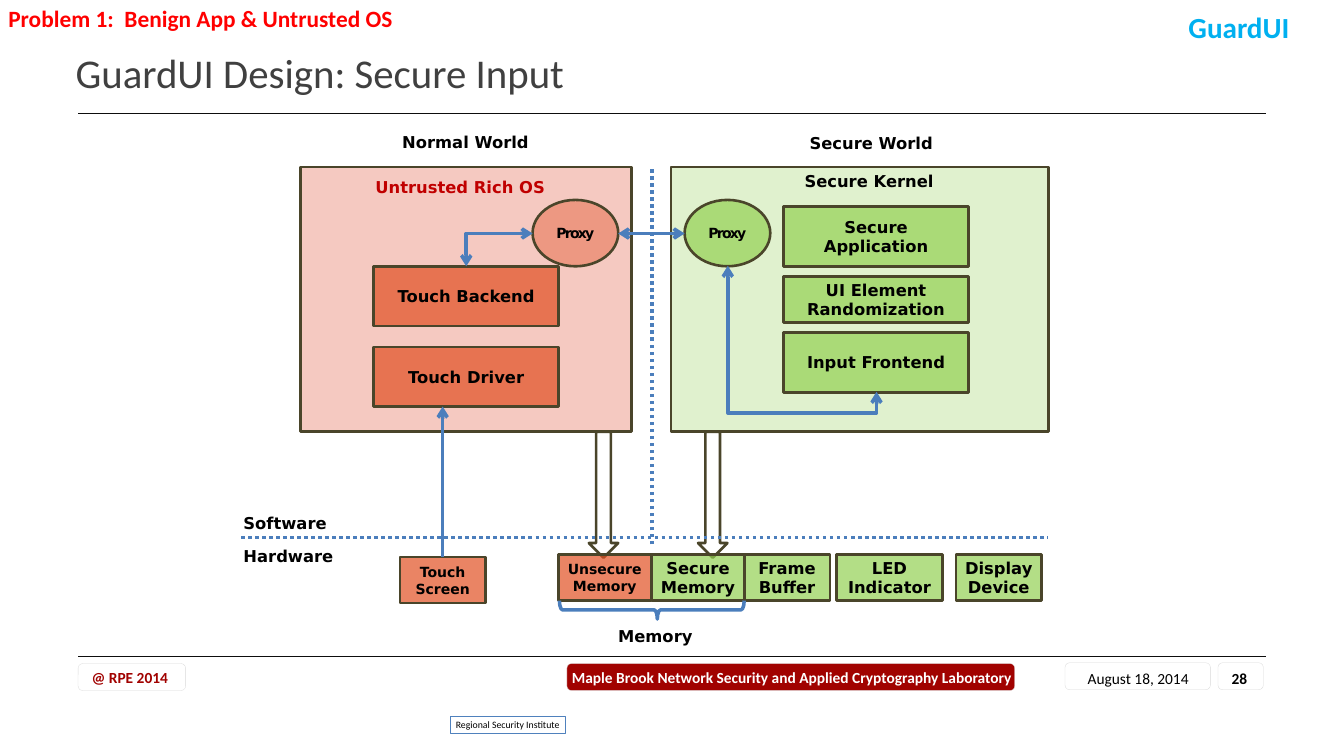
from dataclasses import dataclass

from lxml import etree
from pptx import Presentation
from pptx.dml.color import RGBColor
from pptx.enum import dml, shapes, text
from pptx.oxml.ns import qn
from pptx.util import Inches, Pt


@dataclass(frozen=True)
class Theme:
    body_font: str = "Calibri"
    diagram_font: str = "DejaVu Sans"
    black: str = "000000"
    white: str = "FFFFFF"
    title: str = "404040"
    alert: str = "FF0000"
    brand: str = "00B0F0"
    crimson: str = "A10200"
    untrusted: str = "C00000"
    rule: str = "0D0D0D"
    pill: str = "D9D9D9"
    badge: str = "4F81BD"
    outline: str = "4A452A"
    arrow: str = "4B7EBC"
    normal_world: str = "DD3E23"
    normal: str = "E14D1F"
    secure: str = "92D050"
    title_size: float = 35
    brand_size: float = 25
    problem_size: float = 20
    label_size: float = 14
    small_size: float = 12
    footer_size: float = 13.2
    badge_size: float = 8.4


THEME = Theme()
KIND = shapes.MSO_SHAPE
LINK = shapes.MSO_CONNECTOR

TITLE = "GuardUI Design: Secure Input"
RULES = [1.35, 7.82]
PILLS = [
    (12.68, 7.89, 1.73, None),
    (14.5, 7.89, 0.54, None),
    (6.75, 7.9, 5.33, THEME.crimson),
    (0.93, 7.9, 1.28, None),
]
FOOTERS = [
    ("28 ", (14.44, 7.88, 0.67, 0.38), THEME.black, True, "c"),
    ("August 18, 2014", (12.62, 7.88, 1.86, 0.38), THEME.black, False, "c"),
    ("Maple Brook Network Security and Applied Cryptography Laboratory",
     (6.33, 7.87, 6.19, 0.38), THEME.white, True, "c"),
    ("@ RPE 2014", (0.93, 7.87, 1.28, 0.38), THEME.crimson, True, "l"),
]
BADGE = ("Regional Security Institute", (5.36, 8.52, 1.37, 0.21))
HEADERS = [
    ("Problem 1:  Benign App & Untrusted OS", (0, 0, 6.25, 0.44), THEME.problem_size, THEME.alert),
    ("GuardUI", (14.05, 0.06, 1.92, 0.52), THEME.brand_size, THEME.brand),
]
MEMORY_ARROWS = [8.31, 7.01]
WORLDS = [(3.58, 3.94, THEME.normal_world), (7.99, 4.49, THEME.secure)]
SOFTWARE = [
    ("Touch Driver", 4.45, 4.13, 0.71, THEME.normal),
    ("Touch Backend", 4.45, 3.17, 0.71, THEME.normal),
    ("Input Frontend", 9.33, 3.96, 0.71, THEME.secure),
    ("UI Element Randomization", 9.33, 3.29, 0.55, THEME.secure),
    ("Secure Application", 9.33, 2.46, 0.71, THEME.secure),
]
PROXIES = [(6.34, THEME.normal, 39), (8.15, THEME.secure, 69)]
HARDWARE = [
    ("Display Device", 11.38, 6.6, 1.02, THEME.secure, THEME.label_size),
    ("LED Indicator", 9.96, 6.6, 1.26, THEME.secure, THEME.label_size),
    ("Frame Buffer", 8.86, 6.6, 1.02, THEME.secure, THEME.label_size),
    ("Unsecure Memory", 6.65, 6.6, 1.1, THEME.normal, THEME.small_size),
    ("Secure Memory", 7.76, 6.6, 1.1, THEME.secure, THEME.label_size),
    ("Touch Screen", 4.76, 6.63, 1.02, THEME.normal, THEME.small_size),
]
LABELS = [
    ("Untrusted Rich OS", 4.37, 2.06, 2.22, THEME.untrusted),
    ("Secure Kernel", 9.48, 1.99, 1.74, THEME.black),
    ("Hardware", 2.8, 6.45, 1.29, THEME.black),
    ("Software", 2.8, 6.06, 1.2, THEME.black),
    ("Normal World", 4.69, 1.52, 1.73, THEME.black),
    ("Secure World", 9.54, 1.54, 1.68, THEME.black),
    ("Memory", 7.26, 7.4, 1.09, THEME.black),
]
DIVIDERS = [((2.87, 6.4), (12.48, 6.4)), ((7.76, 6.48), (7.76, 2))]


def write(shape, words, size=THEME.label_size, color=THEME.black, font=THEME.diagram_font,
          bold=True, align="c", anchor=text.MSO_ANCHOR.MIDDLE, wrap=True, insets=None, spacing=None):
    frame = shape.text_frame
    frame.word_wrap = wrap
    frame.vertical_anchor = anchor
    if insets:
        frame.margin_left = frame.margin_right = Inches(insets[0])
        frame.margin_top = frame.margin_bottom = Inches(insets[1])
    paragraph = frame.paragraphs[0]
    paragraph.alignment = text.PP_ALIGN.CENTER if align == "c" else text.PP_ALIGN.LEFT
    run = paragraph.add_run()
    run.text = words
    run.font.name, run.font.size, run.font.bold = font, Pt(size), bold
    run.font.color.rgb = RGBColor.from_string(color)
    if spacing is not None:
        run._r.get_or_add_rPr().set("spc", str(round(spacing * 100)))


def add_text(slide, words, box, **style):
    shape = slide.shapes.add_textbox(*map(Inches, box))
    write(shape, words, anchor=text.MSO_ANCHOR.TOP, **style)
    shape.text_frame.auto_size = text.MSO_AUTO_SIZE.SHAPE_TO_FIT_TEXT


def add_block(slide, kind, box, fill=None, alpha=None, line=THEME.outline, width=2.25):
    shape = slide.shapes.add_shape(kind, *map(Inches, box))
    shape.shadow.inherit = False
    if fill:
        shape.fill.solid()
        shape.fill.fore_color.rgb = RGBColor.from_string(fill)
    else:
        shape.fill.background()
    if alpha is not None:
        color = shape._element.spPr.find(qn("a:solidFill")).find(qn("a:srgbClr"))
        etree.SubElement(color, qn("a:alpha")).set("val", str(alpha * 1000))
    shape.line.color.rgb = RGBColor.from_string(line)
    shape.line.width = Pt(width)
    return shape


def add_line(slide, start, end, kind=LINK.STRAIGHT, color=THEME.arrow, width=3, dash=None, arrows=()):
    connector = slide.shapes.add_connector(kind, *map(Inches, (*start, *end)))
    connector.line.color.rgb = RGBColor.from_string(color)
    connector.line.width = Pt(width)
    if dash:
        connector.line.dash_style = dash
    properties = connector._element.spPr
    for arrow in arrows:
        etree.SubElement(properties.find(qn("a:ln")), qn(f"a:{arrow}")).set("type", "arrow")
    etree.SubElement(properties, qn("a:effectLst"))
    return connector


def bend(connector, preset, degrees, adjustment=None):
    properties = connector._element.spPr
    properties.find(qn("a:xfrm")).set("rot", str(degrees * 60000))
    geometry = properties.find(qn("a:prstGeom"))
    geometry.set("prst", preset)
    if adjustment is not None:
        guides = geometry.find(qn("a:avLst"))
        if guides is None:
            guides = etree.SubElement(geometry, qn("a:avLst"))
        guide = etree.SubElement(guides, qn("a:gd"))
        guide.set("name", "adj1")
        guide.set("fmla", f"val {round(adjustment * 100000)}")


def add_frame(slide):
    for y in RULES:
        add_line(slide, (0.93, y), (15.07, y), color=THEME.rule, width=0.75)
    for x, y, width, fill in PILLS:
        add_block(slide, KIND.ROUNDED_RECTANGLE, (x, y, width, 0.32), fill, line=THEME.pill, width=0.25)
    for words, box, color, bold, align in FOOTERS:
        add_text(slide, words, box, size=THEME.footer_size, color=color, font=THEME.body_font,
                 bold=bold, align=align, insets=(0.16, 0.08))
    words, box = BADGE
    badge = add_block(slide, KIND.RECTANGLE, box, THEME.white, line=THEME.badge, width=0.25)
    write(badge, words, size=THEME.badge_size, font=THEME.body_font, bold=False, insets=(0.04, 0.04))
    title = slide.shapes.title
    title.left, title.top, title.width, title.height = map(Inches, (0.8, 0.24, 14.27, 1.24))
    write(title, TITLE, size=THEME.title_size, color=THEME.title, font=THEME.body_font, bold=False, align="l")
    for words, box, size, color in HEADERS:
        add_text(slide, words, box, size=size, color=color, font=THEME.body_font, align="l")


def add_diagram(slide):
    for x in MEMORY_ARROWS:
        add_block(slide, KIND.DOWN_ARROW, (x, 5.14, 0.35, 1.5), THEME.white)
    for x, width, fill in WORLDS:
        add_block(slide, KIND.RECTANGLE, (x, 1.99, width, 3.15), fill, 28)
    for words, x, y, height, fill in SOFTWARE:
        write(add_block(slide, KIND.RECTANGLE, (x, y, 2.2, height), fill, 69), words)
    for x, fill, alpha in PROXIES:
        proxy = add_block(slide, KIND.OVAL, (x, 2.38, 1.02, 0.79), fill, alpha)
        write(proxy, "Proxy", size=THEME.small_size, spacing=-1.5)
    devices = {}
    for words, x, y, width, fill, size in HARDWARE:
        devices[words] = add_block(slide, KIND.RECTANGLE, (x, y, width, 0.55), fill, 69)
        write(devices[words], words, size=size)
    both = ("headEnd", "tailEnd")
    bend(add_line(slide, (6.14, 3.37), (5.75, 2.58), LINK.ELBOW, arrows=both), "bentConnector2", 90)
    add_line(slide, (7.36, 2.78), (8.15, 2.78), arrows=both)
    bend(add_line(slide, (10.3, 3.03), (8.8, 4.8), LINK.ELBOW, arrows=both), "bentConnector3", 270, 1.167)
    for start, end in DIVIDERS:
        add_line(slide, start, end, dash=dml.MSO_LINE.ROUND_DOT)
    touch = add_line(slide, (5.27, 6.63), (5.27, 4.84), arrows=("tailEnd",))
    touch.begin_connect(devices["Touch Screen"], 0)
    brace = add_block(slide, KIND.LEFT_BRACE, (7.65, 6.16, 0.22, 2.2), line=THEME.arrow, width=3)
    brace.rotation = 270
    brace.adjustments[0], brace.adjustments[1] = 0.17, 0.53
    for words, x, y, width, color in LABELS:
        add_text(slide, words, (x, y, width, 0.34), color=color, align="l", wrap=False)


def main():
    presentation = Presentation()
    presentation.slide_width, presentation.slide_height = Inches(16), Inches(9)
    slide = presentation.slides.add_slide(presentation.slide_layouts[5])
    add_frame(slide)
    add_diagram(slide)
    presentation.save("out.pptx")


if __name__ == "__main__":
    main()
